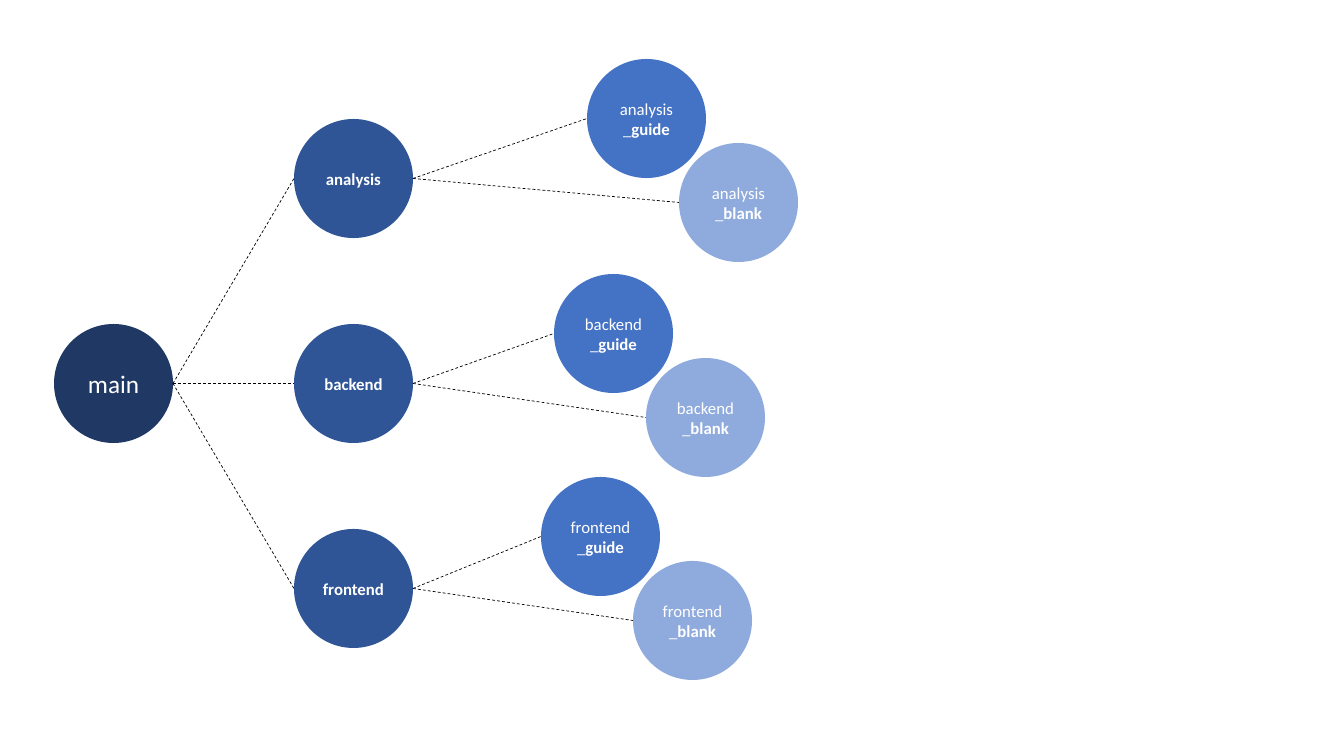
from pptx import Presentation
from pptx.dml.color import RGBColor
from pptx.enum.dml import MSO_LINE
from pptx.enum.shapes import MSO_CONNECTOR, MSO_SHAPE
from pptx.enum.text import MSO_ANCHOR, PP_ALIGN
from pptx.oxml.ns import qn
from pptx.util import Emu, Pt
from lxml.etree import SubElement

NAVY = RGBColor(0x20, 0x38, 0x64)
DARK = RGBColor(0x2F, 0x55, 0x97)
BLUE = RGBColor(0x44, 0x72, 0xC4)
PALE = RGBColor(0x8F, 0xAA, 0xDC)
WHITE = RGBColor(0xFF, 0xFF, 0xFF)
BLACK = RGBColor(0x00, 0x00, 0x00)

SCALE = 914400 / 100.8
DIAMETER = 119
MAIN = (54, 324)
BRANCH_LEFT, BRANCH_STEP = 294, 205
GUIDES = {"analysis": (587, 59), "backend": (554, 274), "frontend": (541, 477)}
BLANK_DX, BLANK_DY = 92, 84


def px(n):
    return Emu(round(n * SCALE))


def style(target, values):
    for name, value in values.items():
        setattr(target, name, value)


def add_run(p, text, size=12, bold=False):
    r = p.add_run()
    r.text = text
    style(r.font, {"name": "Calibri", "size": Pt(size), "bold": bold})
    r.font.color.rgb = WHITE


def add_circle(s, at, color):
    sp = s.shapes.add_shape(MSO_SHAPE.OVAL, *map(px, (*at, DIAMETER, DIAMETER)))
    sp.shadow.inherit = False
    sp.fill.solid()
    sp.fill.fore_color.rgb = color
    sp.line.fill.background()
    tf = sp.text_frame
    style(tf, {"word_wrap": True, "vertical_anchor": MSO_ANCHOR.MIDDLE,
               "margin_left": 0, "margin_right": 0})
    p = tf.paragraphs[0]
    p.alignment = PP_ALIGN.CENTER
    return p


def add_leaf(s, at, branch, kind, color):
    p = add_circle(s, at, color)
    add_run(p, branch)
    p.add_line_break()
    add_run(p, "_")
    add_run(p, kind, bold=True)


def add_link(s, parent, child):
    radius = DIAMETER / 2
    ends = (parent[0] + DIAMETER, parent[1] + radius, child[0], child[1] + radius)
    line = s.shapes.add_connector(MSO_CONNECTOR.STRAIGHT, *map(px, ends))
    style(line.line, {"width": Pt(0.5), "dash_style": MSO_LINE.DASH})
    line.line.color.rgb = BLACK
    SubElement(line._element.spPr, qn("a:effectLst"))


def main():
    prs = Presentation()
    style(prs, {"slide_width": px(1344), "slide_height": px(756)})
    s = prs.slides.add_slide(prs.slide_layouts[6])

    add_run(add_circle(s, MAIN, NAVY), "main", size=18)
    links = []
    for i, (branch, guide) in enumerate(GUIDES.items()):
        at = (BRANCH_LEFT, MAIN[1] + (i - 1) * BRANCH_STEP)
        blank = (guide[0] + BLANK_DX, guide[1] + BLANK_DY)
        add_run(add_circle(s, at, DARK), branch, bold=True)
        add_leaf(s, blank, branch, "blank", PALE)
        add_leaf(s, guide, branch, "guide", BLUE)
        links += [(MAIN, at), (at, guide), (at, blank)]
    for parent, child in links:
        add_link(s, parent, child)

    prs.save("out.pptx")


main()
